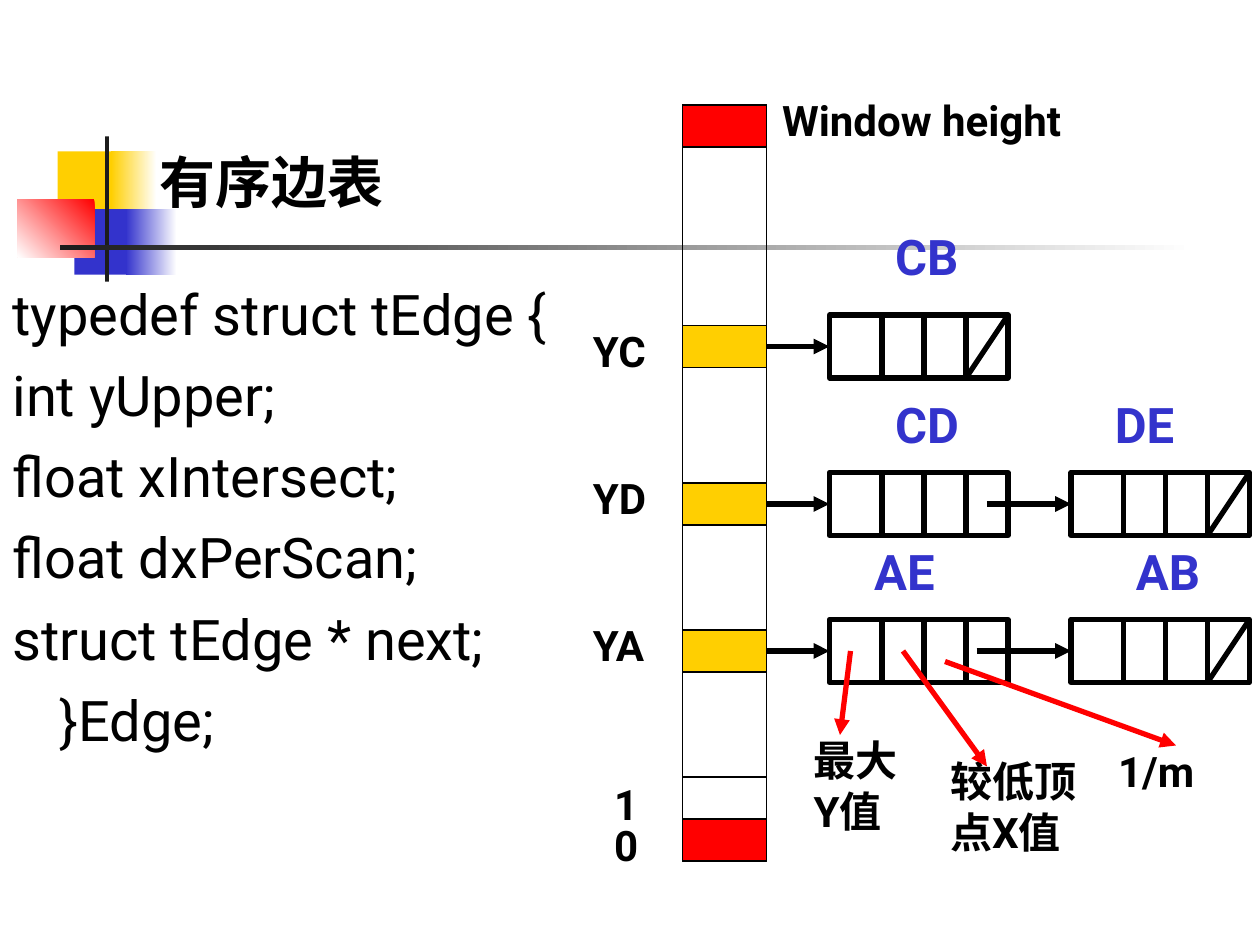
from pptx import Presentation
from pptx.dml.color import RGBColor
from pptx.enum.shapes import MSO_CONNECTOR, MSO_SHAPE
from pptx.enum.text import MSO_ANCHOR
from pptx.oxml.ns import qn
from pptx.util import Pt
from lxml.etree import SubElement

BLACK, WHITE, RED = "000000", "FFFFFF", "FF0000"
YELLOW, BLUE, CHARCOAL = "FFCF01", "3333CC", "1C1C1C"


def color(value):
    return RGBColor.from_string(value)


class SlideBuilder:
    font_name = "Roboto"

    def __init__(self, page):
        self.page = page

    def rect(self, left, top, width, height, fill=None, fade=None, line=None):
        """Rectangle; fade is (first colour, last colour, angle)."""
        box = self.page.shapes.add_shape(
            MSO_SHAPE.RECTANGLE, Pt(left), Pt(top), Pt(width), Pt(height))
        box.shadow.inherit = False
        if fade:
            box.fill.gradient()
            box.fill.gradient_angle = fade[2]
            for stop, value in zip(box.fill.gradient_stops, fade):
                stop.color.rgb = color(value)
        elif fill:
            box.fill.solid()
            box.fill.fore_color.rgb = color(fill)
        else:
            box.fill.background()
        if line:
            box.line.color.rgb = color(BLACK)
            box.line.width = Pt(line)
        else:
            box.line.fill.background()

    def line(self, x1, y1, x2, y2, stroke=BLACK, arrow=False):
        connector = self.page.shapes.add_connector(
            MSO_CONNECTOR.STRAIGHT, Pt(x1), Pt(y1), Pt(x2), Pt(y2))
        connector.line.color.rgb = color(stroke)
        connector.line.width = Pt(3)
        properties = connector._element.spPr
        if arrow:
            SubElement(properties.find(qn("a:ln")), qn("a:tailEnd"), type="triangle")
        SubElement(properties, qn("a:effectLst"))

    def text(self, left, top, width, height, lines, size=24, fill=BLACK, bold=True,
             inset=(2.88, 0), gap=0, anchor=MSO_ANCHOR.TOP):
        """Text box; lines holds (text, left indent) pairs or one string."""
        box = self.page.shapes.add_textbox(Pt(left), Pt(top), Pt(width), Pt(height))
        frame = box.text_frame
        across, down = Pt(inset[0]), Pt(inset[1])
        frame_format = {"word_wrap": True, "vertical_anchor": anchor,
                        "margin_left": across, "margin_right": across,
                        "margin_top": down, "margin_bottom": down}
        for name, value in frame_format.items():
            setattr(frame, name, value)
        font_format = {"name": self.font_name, "size": Pt(size), "bold": bold}
        if isinstance(lines, str):
            lines = [(lines, 0)]
        for index, (words, indent) in enumerate(lines):
            para = frame.add_paragraph() if index else frame.paragraphs[0]
            if indent:
                para._p.get_or_add_pPr().set("marL", str(Pt(indent)))
            if index and gap:
                para.space_before = Pt(gap)
            span = para.add_run()
            span.text = words
            for name, value in font_format.items():
                setattr(span.font, name, value)
            span.font.color.rgb = color(fill)

    def edge_record(self, left, top, arrow_start, last):
        """Four-field record with its incoming arrow; a slash ends the list."""
        width, height = 102, 36
        bottom = top + height
        self.rect(left, top, width, height, line=3)
        self.line(arrow_start, top + height / 2, left, top + height / 2, arrow=True)
        for offset in (30, 54, 78):
            self.line(left + offset, top, left + offset, bottom)
        if last:
            self.line(left + 78, bottom, left + width, top)


def main():
    deck = Presentation()
    deck.slide_width, deck.slide_height = Pt(720), Pt(540)
    page = deck.slides.add_slide(deck.slide_layouts[6])
    builder = SlideBuilder(page)

    # Corner decoration and title rule
    builder.rect(33, 86.5, 34.5, 37.5, fill=YELLOW)
    builder.rect(63.5, 86.5, 26, 37.5, fade=(WHITE, YELLOW, 180))
    builder.rect(42.5, 119.5, 33, 37.5, fill=BLUE)
    builder.rect(72, 119.5, 29, 37.5, fade=(WHITE, BLUE, 180))
    builder.rect(10, 114, 44, 33, fade=(RED, WHITE, 225))
    builder.rect(60, 78, 2.25, 83, fill=CHARCOAL)
    builder.rect(34.5, 140.25, 648, 2.5, fade=(WHITE, CHARCOAL, 180))

    # Title
    builder.text(84, 78, 328, 48, "有序边表", size=32, inset=(7.2, 3.6),
                 anchor=MSO_ANCHOR.BOTTOM)

    # Scan line column
    column_left, column_width, cell = 390, 48, 24
    column_right = column_left + column_width
    builder.rect(column_left, 60, column_width, 432, line=0.75)
    for top, fill in ((60, RED), (444, None), (360, YELLOW), (276, YELLOW),
                      (186, YELLOW), (468, RED)):
        builder.rect(column_left, top, column_width, cell, fill=fill, line=0.75)
    for words, left, top, width in (
            ("0", 348, 468, 18), ("1", 348, 445, 18), ("YA", 336, 354, 42),
            ("YD", 336, 270, 42), ("YC", 336, 186, 42),
            ("Window height", 444, 54, 204)):
        builder.text(left, top, width, 29, words)

    # Edge lists
    first, second = 474, 612
    for left, top, arrow_start, last in (
            (second, 354, 558, True), (first, 270, column_right, False),
            (second, 270, 564, True), (first, 354, column_right, False),
            (first, 180, column_right, True)):
        builder.edge_record(left, top, arrow_start, last)
    for words, left, top, width in (
            ("AE", 492.5, 306, 52), ("AB", 642, 306, 55), ("CD", 504.5, 222, 55),
            ("DE", 630, 222, 60), ("CB", 504.5, 126, 55)):
        builder.text(left, top, width, 41, words, size=28, fill=BLUE,
                     inset=(7.2, 3.6))

    # Structure definition
    code = [("typedef struct tEdge {", 0), ("int yUpper;", 0),
            ("float xIntersect;", 0), ("float dxPerScan;", 0),
            ("struct tEdge * next;", 0), ("}Edge;", 27)]
    builder.text(0, 156, 342, 328, code, size=32, bold=False,
                 inset=(7.2, 3.6), gap=8)

    # Field explanations
    builder.text(462, 420, 54, 58, "最大Y值")
    builder.text(540, 432, 84, 58, "较低顶点X值")
    builder.text(636, 426, 84, 29, "1/m")
    for ends in ((486, 372, 480, 420), (516, 372, 564, 438), (540, 378, 672, 426)):
        builder.line(*ends, stroke=RED, arrow=True)

    deck.save("out.pptx")


if __name__ == "__main__":
    main()
